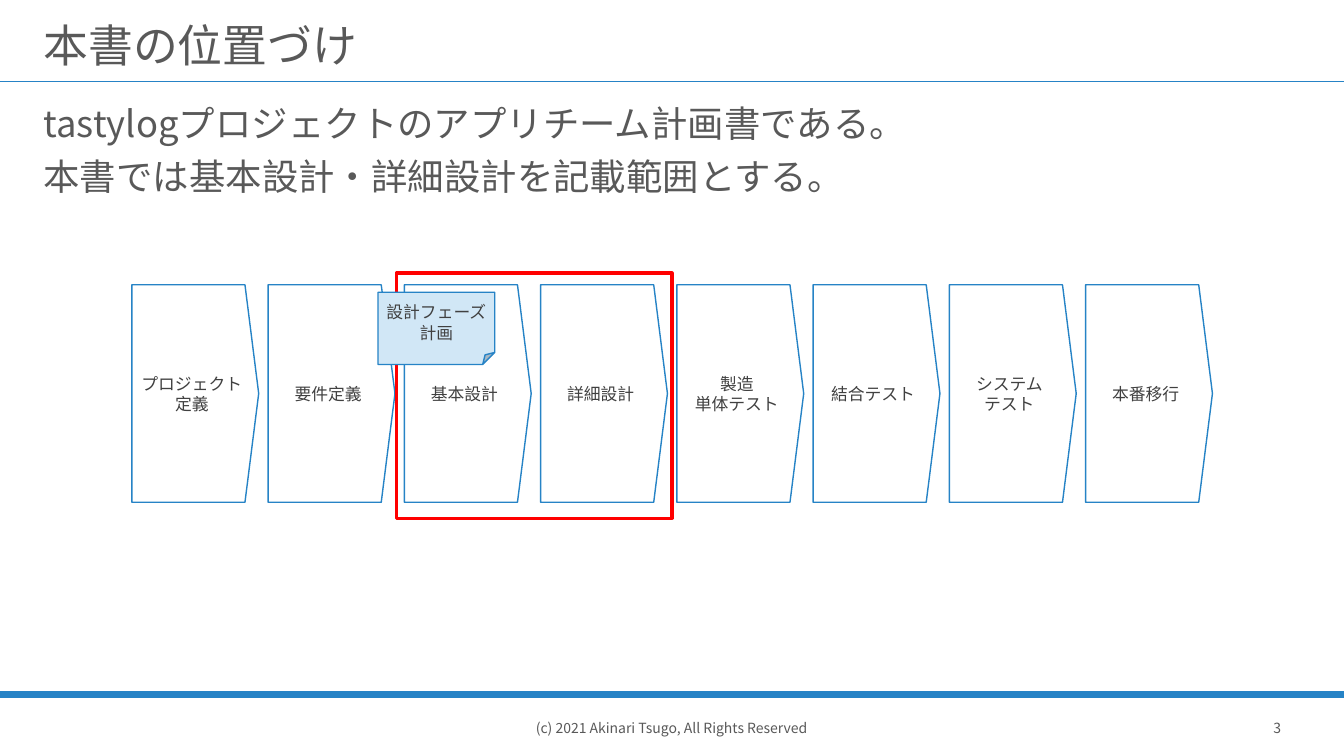
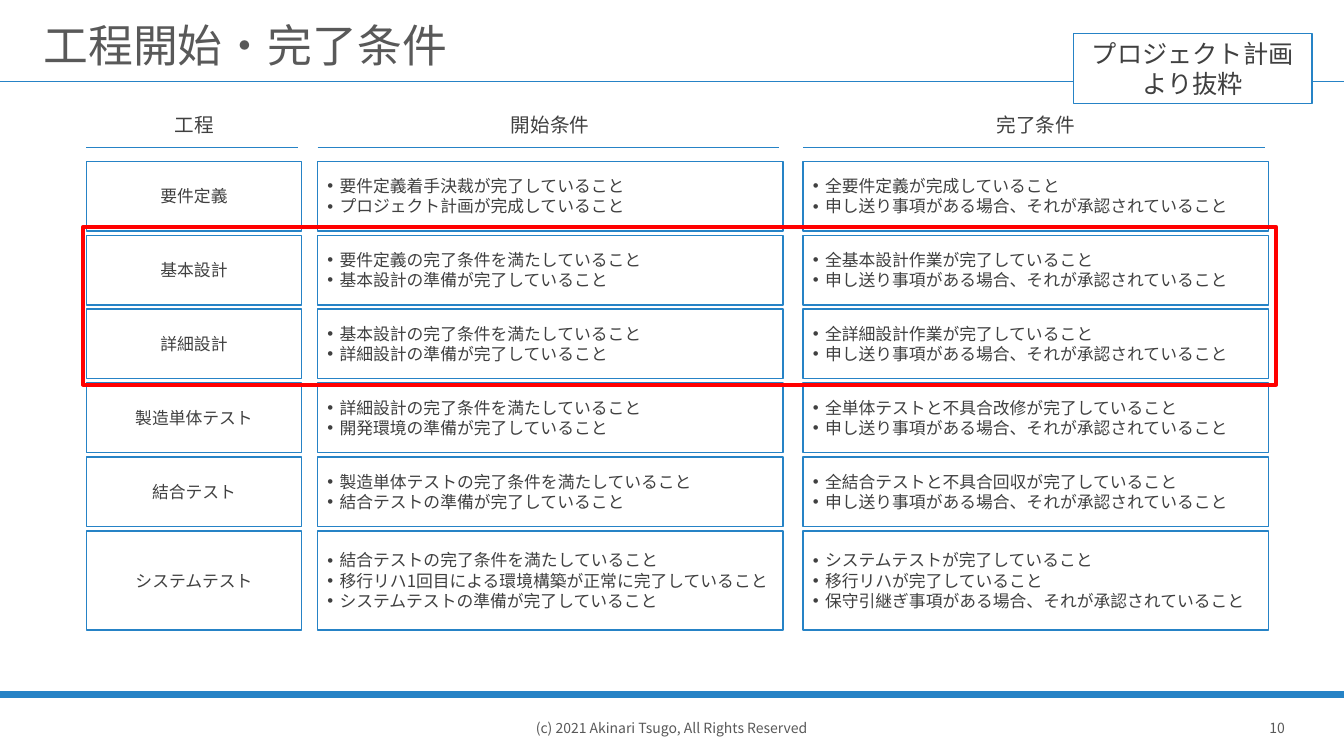
from lxml.etree import SubElement
from pptx import Presentation
from pptx.dml.color import RGBColor
from pptx.enum.shapes import MSO_CONNECTOR as Connector, MSO_SHAPE as Shape
from pptx.enum.text import MSO_ANCHOR as Anchor, PP_ALIGN as Align
from pptx.oxml.ns import qn
from pptx.util import Inches, Pt

COLORS = {"accent": "2683C6", "pale": "D1E7F6", "white": "FFFFFF",
          "mark": "FF0000", "body": "595959", "label": "404040"}
FONT = "Noto Sans CJK JP"
WIDTH, HEIGHT = Inches(13.33), Inches(7.5)
COLUMNS, ROWS = 160, 90  # the grid that every length is counted in
COPYRIGHT = "(c) 2021 Akinari Tsugo, All Rights Reserved"


def color(name):
    return RGBColor.from_string(COLORS[name])


class Deck:
    """Holds the shared style and the current slide."""

    def __init__(self):
        self.presentation = Presentation()
        self.presentation.slide_width = WIDTH
        self.presentation.slide_height = HEIGHT
        self.slide = None

    def x(self, columns):
        return round(WIDTH * columns / COLUMNS)

    def y(self, rows):
        return round(HEIGHT * rows / ROWS)

    def box(self, left, top, width, height):
        return self.x(left), self.y(top), self.x(width), self.y(height)

    def new_slide(self, title, number):
        layout = self.presentation.slide_layouts[6]
        self.slide = self.presentation.slides.add_slide(layout)
        # Rules and footer
        self.line(0, COLUMNS, 9.7)
        self.line(0, COLUMNS, 82.7, weight=4.5)
        footer = {"size": 10, "align": Align.CENTER, "anchor": Anchor.MIDDLE,
                  "wrap": False}
        self.text((148.1, 83.4, 7.9, 6.6), [str(number)], **footer)
        self.text((55.4, 83.4, 49.1, 6.6), [COPYRIGHT], **footer)
        # Title
        self.text((4, 0.7, 152, 8.3), [title], size=32, anchor=Anchor.MIDDLE,
                  insets=(0.1, 0.2, 0.1, 0.05), spacing=0.9)

    def line(self, start, end, row, weight=1):
        connector = self.slide.shapes.add_connector(
            Connector.STRAIGHT, self.x(start), self.y(row), self.x(end), self.y(row))
        connector.line.color.rgb = color("accent")
        connector.line.width = Pt(weight)
        SubElement(connector._element.spPr, qn("a:effectLst"))

    def text(self, place, lines, **style):
        shape = self.slide.shapes.add_textbox(*self.box(*place))
        self.fill_text(shape, lines, **style)

    def shape(self, kind, place, lines=(), fill="white", line="accent", weight=1,
              bend=None, **style):
        shape = self.slide.shapes.add_shape(kind, *self.box(*place))
        shape.shadow.inherit = False
        if fill:
            shape.fill.solid()
            shape.fill.fore_color.rgb = color(fill)
        else:
            shape.fill.background()
        shape.line.color.rgb = color(line)
        shape.line.width = Pt(weight)
        if bend is not None:
            shape.adjustments[0] = bend
        if lines:
            defaults = {"size": 12, "ink": "label", "align": Align.CENTER,
                        "anchor": Anchor.MIDDLE}
            self.fill_text(shape, lines, **{**defaults, **style})

    def frame(self, place, weight):
        self.shape(Shape.RECTANGLE, place, fill=None, line="mark", weight=weight)

    def fill_text(self, shape, lines, size, ink="body", align=Align.LEFT,
                  anchor=Anchor.TOP, insets=(0.1, 0.05, 0.1, 0.05), wrap=True,
                  spacing=None, before=0, bullets=False):
        text_frame = shape.text_frame
        frame_format = {"word_wrap": wrap, "vertical_anchor": anchor}
        sides = ("left", "top", "right", "bottom")
        frame_format.update({f"margin_{side}": Inches(inset)
                             for side, inset in zip(sides, insets)})
        for name, value in frame_format.items():
            setattr(text_frame, name, value)
        for index, line in enumerate(lines):
            paragraph = text_frame.add_paragraph() if index else text_frame.paragraphs[0]
            if bullets:
                self.bullet(paragraph)
            paragraph_format = {"alignment": align, "line_spacing": spacing,
                                "space_before": Pt(before if index else 0)}
            for name, value in paragraph_format.items():
                setattr(paragraph, name, value)
            run = paragraph.add_run()
            run.text = line
            for name, value in {"size": Pt(size), "name": FONT}.items():
                setattr(run.font, name, value)
            run.font.color.rgb = color(ink)
            SubElement(run._r.get_or_add_rPr(), qn("a:ea"), typeface=FONT)

    def bullet(self, paragraph):
        properties = paragraph._p.get_or_add_pPr()
        indent = Inches(0.12)
        properties.set("marL", str(indent))
        properties.set("indent", str(-indent))
        SubElement(properties, qn("a:buFont"), typeface="Arial")
        SubElement(properties, qn("a:buChar"), char="•")


def positioning_slide(deck):
    deck.new_slide("本書の位置づけ", 3)
    deck.text((4, 12, 152, 8.8),
              ["tastylogプロジェクトのアプリチーム計画書である。",
               "本書では基本設計・詳細設計を記載範囲とする。"],
              size=26, spacing=0.9, before=10)
    # Chain of phases
    phases = [["プロジェクト", "定義"], ["要件定義"], ["基本設計"], ["詳細設計"],
              ["製造", "単体テスト"], ["結合テスト"], ["システム", "テスト"], ["本番移行"]]
    left, pitch = 15.7, 16.22
    for index, phase in enumerate(phases):
        deck.shape(Shape.PENTAGON, (left + index * pitch, 33.9, 15.1, 25.9), phase,
                   bend=0.108, insets=(0.08, 0.05, 0.08, 0.05))
    # Scope of the document
    deck.frame((47.2, 32.5, 32.8, 29.2), weight=2.25)
    deck.shape(Shape.FOLDED_CORNER, (45, 34.8, 13.9, 8.6), ["設計フェーズ", "計画"],
               fill="pale", insets=(0, 0, 0, 0), wrap=False)


def conditions_slide(deck):
    deck.new_slide("工程開始・完了条件", 10)
    handover = "申し送り事項がある場合、それが承認されていること"
    columns = [("工程", 10.3, 25.6), ("開始条件", 37.8, 55.4), ("完了条件", 95.6, 55.4)]
    rows = [
        (["要件定義"],
         ["要件定義着手決裁が完了していること", "プロジェクト計画が完成していること"],
         ["全要件定義が完成していること", handover]),
        (["基本設計"],
         ["要件定義の完了条件を満たしていること", "基本設計の準備が完了していること"],
         ["全基本設計作業が完了していること", handover]),
        (["詳細設計"],
         ["基本設計の完了条件を満たしていること", "詳細設計の準備が完了していること"],
         ["全詳細設計作業が完了していること", handover]),
        (["製造単体テスト"],
         ["詳細設計の完了条件を満たしていること", "開発環境の準備が完了していること"],
         ["全単体テストと不具合改修が完了していること", handover]),
        (["結合テスト"],
         ["製造単体テストの完了条件を満たしていること", "結合テストの準備が完了していること"],
         ["全結合テストと不具合回収が完了していること", handover]),
        (["システムテスト"],
         ["結合テストの完了条件を満たしていること",
          "移行リハ1回目による環境構築が正常に完了していること",
          "システムテストの準備が完了していること"],
         ["システムテストが完了していること", "移行リハが完了していること",
          "保守引継ぎ事項がある場合、それが承認されていること"]),
    ]
    # Column heads
    for head, left, width in columns:
        deck.line(left, left + width - 0.4, 17.5, weight=0.5)
        deck.text((left, 12.8, width, 4.1), [head], size=14, ink="label",
                  align=Align.CENTER)
    # Boxes, the first column centred and the others bulleted
    top, gap = 19.2, 0.5
    for row in rows:
        height = 11.8 if len(row[1]) > 2 else 8.3
        for index, (lines, (_, left, width)) in enumerate(zip(row, columns)):
            deck.shape(Shape.RECTANGLE, (left, top, width, height), lines,
                       bullets=index > 0, align=Align.LEFT if index else Align.CENTER)
        top += height + gap
    # Scope frame and source label
    deck.frame((9.9, 27, 142, 18.8), weight=3)
    deck.shape(Shape.RECTANGLE, (127.8, 4, 28.4, 8.3), ["プロジェクト計画より抜粋"],
               size=18)


def main():
    deck = Deck()
    positioning_slide(deck)
    conditions_slide(deck)
    deck.presentation.save("out.pptx")


if __name__ == "__main__":
    main()
